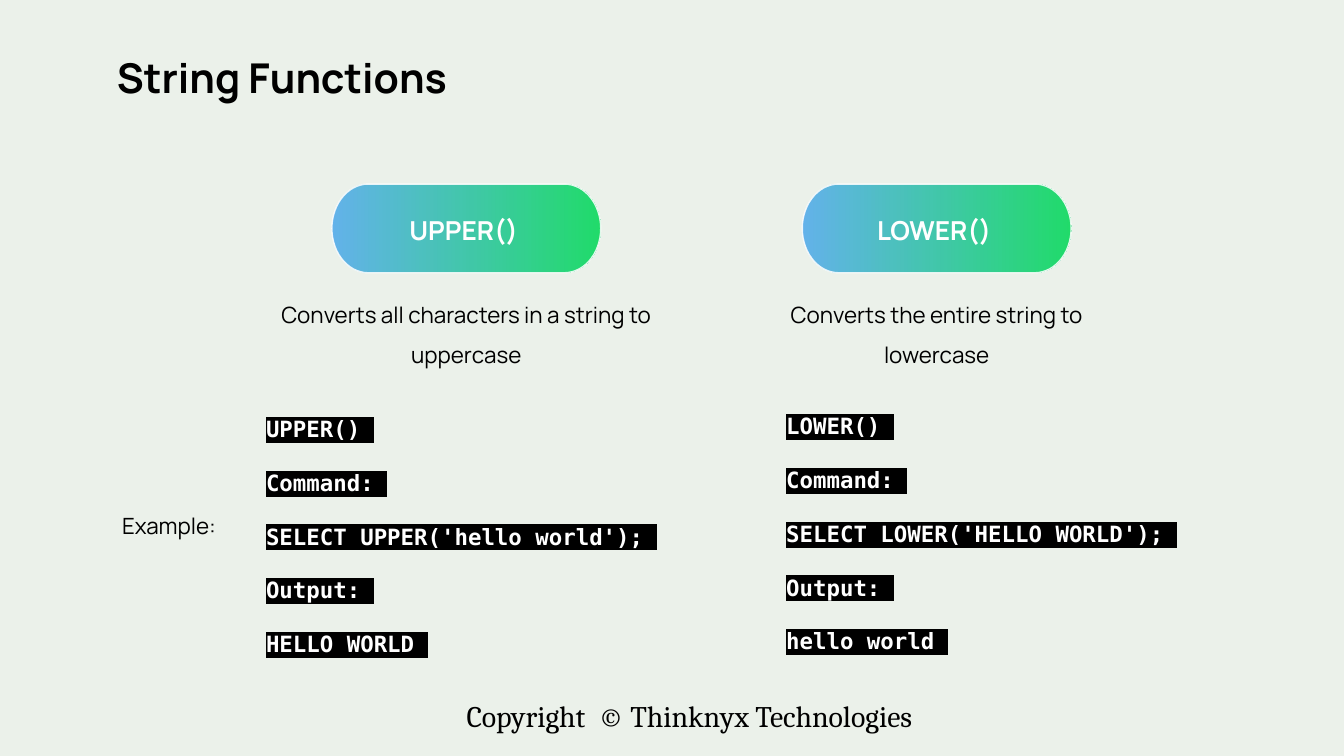
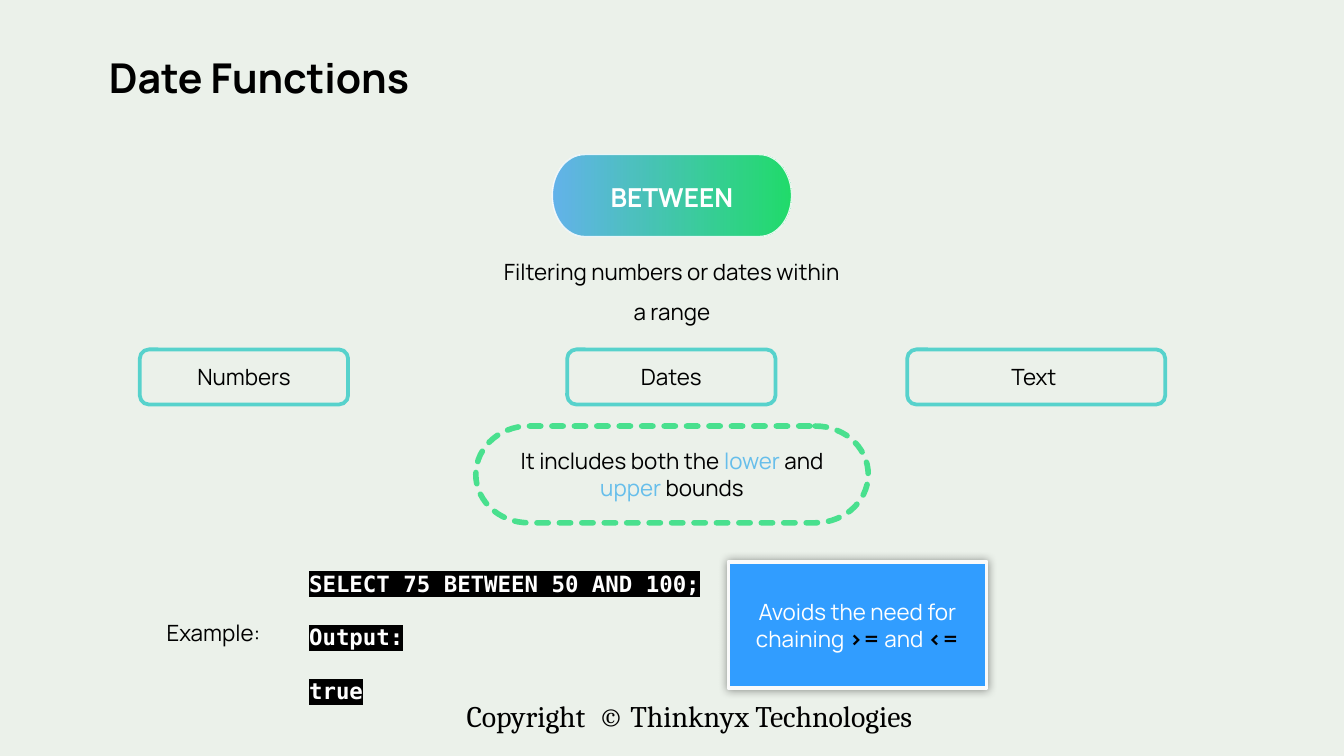
import math
from dataclasses import dataclass

import lxml.etree
import pptx
import pptx.dml.color
import pptx.enum.dml
import pptx.enum.shapes
import pptx.enum.text
import pptx.oxml.ns
import pptx.util

Inches = pptx.util.Inches
Pt = pptx.util.Pt
ALIGN = pptx.enum.text.PP_ALIGN
MIDDLE = pptx.enum.text.MSO_ANCHOR.MIDDLE
qn = pptx.oxml.ns.qn


@dataclass(frozen=True)
class Theme:
    page: str = "EBF1EA"
    ink: str = "000000"
    white: str = "FFFFFF"
    blue: str = "4DA8EA"
    green: str = "00D856"
    teal: str = "57D2CC"
    mint: str = "2FDE7F"
    sky: str = "66BEEB"
    note: str = "319DFF"
    edge: str = "FAFAFA"
    sans: str = "Manrope"
    mono: str = "DejaVu Sans Mono"
    serif: str = "Cambria"
    title: int = 22
    foot: int = 16
    label: int = 14
    body: int = 12


T = Theme()


def color(code):
    return pptx.dml.color.RGBColor.from_string(code)


def style(font, size, tint, face=T.sans, bold=False):
    font.size = Pt(size)
    font.name = face
    font.bold = bold
    font.color.rgb = color(tint)


def element(parent, tag, **attrs):
    return lxml.etree.SubElement(parent, qn(tag), **attrs)


def fade(shape):
    """Make the fill and line of a shape 85 % opaque."""
    for tone in shape._element.spPr.iter(qn("a:srgbClr")):
        element(tone, "a:alpha", val="85000")


def mark(run):
    """Set a run on a black highlight, ahead of any font element."""
    light = lxml.etree.Element(qn("a:highlight"))
    element(light, "a:srgbClr", val=T.ink)
    run._r.get_or_add_rPr().insert(0, light)


def text(shapes, box, lines, size=T.body, tint=T.ink, face=T.sans,
         bold=False, align=ALIGN.LEFT, space=1.0, inset=0, wrap=True):
    frame = shapes.add_textbox(*map(Inches, box)).text_frame
    frame.word_wrap = wrap
    frame.margin_left = frame.margin_right = Inches(inset)
    frame.margin_top = frame.margin_bottom = Inches(inset / 2)
    for i, line in enumerate(lines):
        para = frame.add_paragraph() if i else frame.paragraphs[0]
        para.add_run().text = line
        para.alignment = align
        para.line_spacing = space
        style(para.font, size, tint, face, bold)
    return frame


def fill_text(shape, parts):
    """Centre (text, colour, bold) parts in a shape."""
    frame = shape.text_frame
    frame.word_wrap = True
    frame.vertical_anchor = MIDDLE
    para = frame.paragraphs[0]
    para.alignment = ALIGN.CENTER
    style(para.font, T.body, parts[0][1])
    for words, tint, bold in parts:
        run = para.add_run()
        run.text = words
        if len(parts) > 1:
            style(run.font, T.body, tint, bold=bold)


def oval(shapes, box):
    """Draw a box whose four corners are quarter ellipses."""
    x, y, w, h = box
    rx, ry = 0.135 * w, h / 2
    points = []
    for turn, cx in ((-90, x + w - rx), (90, x + rx)):
        for step in range(0, 181, 6):
            angle = math.radians(turn + step)
            points.append((Inches(cx + rx * math.cos(angle)),
                           Inches(y + ry + ry * math.sin(angle))))
    pen = shapes.build_freeform(*points[0], scale=1.0)
    pen.add_line_segments(points[1:], close=True)
    shape = pen.convert_to_shape()
    shape.shadow.inherit = False
    return shape


def pill(slide, box, name):
    x, y, w, h = box
    shapes = slide.shapes.add_group_shape().shapes
    shape = oval(shapes, box)
    shape.fill.gradient()
    shape.fill.gradient_angle = 0
    for stop, tint in zip(shape.fill.gradient_stops, (T.blue, T.green)):
        stop.color.rgb = color(tint)
    shape.line.color.rgb = color(T.white)
    shape.line.width = Pt(0.75)
    fade(shape)
    frame = text(shapes, (x + 0.045 * w, y + h / 2 - 0.07, 0.91 * w, 0.2),
                 [name], T.label, T.white, bold=True,
                 align=ALIGN.CENTER, space=Pt(14))
    frame.vertical_anchor = MIDDLE


def topic(slide, box, name, words, width, gap):
    """Place a pill with its description centred a gap below."""
    x, y, w, h = box
    pill(slide, box, name)
    text(slide.shapes, (x + (w - width) / 2, y + h + gap, width, 0.58),
         [words], align=ALIGN.CENTER, space=1.5)


def code(slide, box, lines):
    frame = text(slide.shapes, box, lines, tint=T.white, face=T.mono,
                 bold=True, space=2.0)
    for para in frame.paragraphs:
        mark(para.runs[0])


def sample(slide, x, y):
    text(slide.shapes, (x, y, 0.9, 0.35), ["Example:"], space=2.0)


def frame_box(slide, box, parts, edge):
    shape = slide.shapes.add_shape(
        pptx.enum.shapes.MSO_SHAPE.ROUNDED_RECTANGLE, *map(Inches, box))
    shape.shadow.inherit = False
    shape.fill.background()
    shape.line.color.rgb = color(edge)
    shape.line.width = Pt(2)
    fill_text(shape, parts)
    return shape


def bounds(slide, box):
    shape = oval(slide.shapes, box)
    shape.fill.background()
    shape.line.color.rgb = color(T.mint)
    shape.line.width = Pt(3)
    shape.line.dash_style = pptx.enum.dml.MSO_LINE.SQUARE_DOT
    shape._element.spPr.find(qn("a:ln")).set("cap", "rnd")
    fade(shape)
    fill_text(shape, [("It includes both the ", T.ink, False),
                      ("lower", T.sky, False), (" and ", T.ink, False),
                      ("upper", T.sky, False), (" bounds", T.ink, False)])
    shape.text_frame.margin_left = Inches(0.2)
    shape.text_frame.margin_right = Inches(0.2)


def note(slide, box):
    shape = frame_box(slide, box, [
        ("Avoids the need for chaining ", T.white, False),
        (">= ", T.ink, True), ("and ", T.white, False),
        ("<=", T.ink, True)], T.edge)
    shape.adjustments[0] = 0
    shape.fill.solid()
    shape.fill.fore_color.rgb = color(T.note)
    glow = element(shape._element.spPr.find(qn("a:effectLst")),
                   "a:outerShdw", blurRad=str(Pt(5)), dist="0", dir="0",
                   algn="ctr", rotWithShape="0")
    tone = element(glow, "a:srgbClr", val=T.ink)
    element(tone, "a:alpha", val="40000")


def start(deck, title, x):
    """Add a slide with the shared background, footer and title."""
    slide = deck.slides.add_slide(deck.slide_layouts[6])
    slide.background.fill.solid()
    slide.background.fill.fore_color.rgb = color(T.page)
    text(slide.shapes, (3.14, 5.14, 3.98, 0.37),
         ["Copyright  © Thinknyx Technologies"], T.foot, face=T.serif,
         align=ALIGN.CENTER, inset=0.1, wrap=False)
    text(slide.shapes, (x, 0.18, 7.68, 0.53), [title], T.title,
         bold=True, space=Pt(41.6))
    return slide


def string_slide(deck):
    slide = start(deck, "String Functions", 0.87)
    sample(slide, 0.91, 3.61)
    columns = (
        (2.47, 1.98, 2.89, "UPPER", "hello world", "HELLO WORLD",
         "Converts all characters in a string to uppercase"),
        (5.97, 5.85, 2.87, "LOWER", "HELLO WORLD", "hello world",
         "Converts the entire string to lowercase"))
    for x, left, top, name, given, result, words in columns:
        topic(slide, (x, 1.37, 2, 0.66), f"{name}() ", words, 2.9, 0.11)
        call = f"SELECT {name}('{given}');"
        lines = (f"{name}()", "Command:", call, "Output:", result)
        code(slide, (left, top, 3.87, 1.96), [f"{line} " for line in lines])


def date_slide(deck):
    slide = start(deck, "Date Functions", 0.81)
    topic(slide, (4.11, 1.15, 1.78, 0.61), "BETWEEN",
          "Filtering numbers or dates within a range", 2.54, 0.06)
    for x, width, kind in ((1.04, 1.55, "Numbers"), (4.22, 1.55, "Dates"),
                           (6.75, 1.92, "Text ")):
        frame_box(slide, (x, 2.6, width, 0.41), [(kind, T.ink, False)],
                  T.teal)
    sample(slide, 1.24, 4.41)
    code(slide, (2.3, 4.04, 4.69, 1.15),
         ["SELECT 75 BETWEEN 50 AND 100;", "Output:", "true"])
    bounds(slide, (3.54, 3.17, 2.92, 0.72))
    note(slide, (5.42, 4.18, 1.92, 0.94))


def main():
    deck = pptx.Presentation()
    deck.slide_width = Inches(10)
    deck.slide_height = deck.slide_width * 9 // 16
    string_slide(deck)
    date_slide(deck)
    deck.save("out.pptx")


if __name__ == "__main__":
    main()
